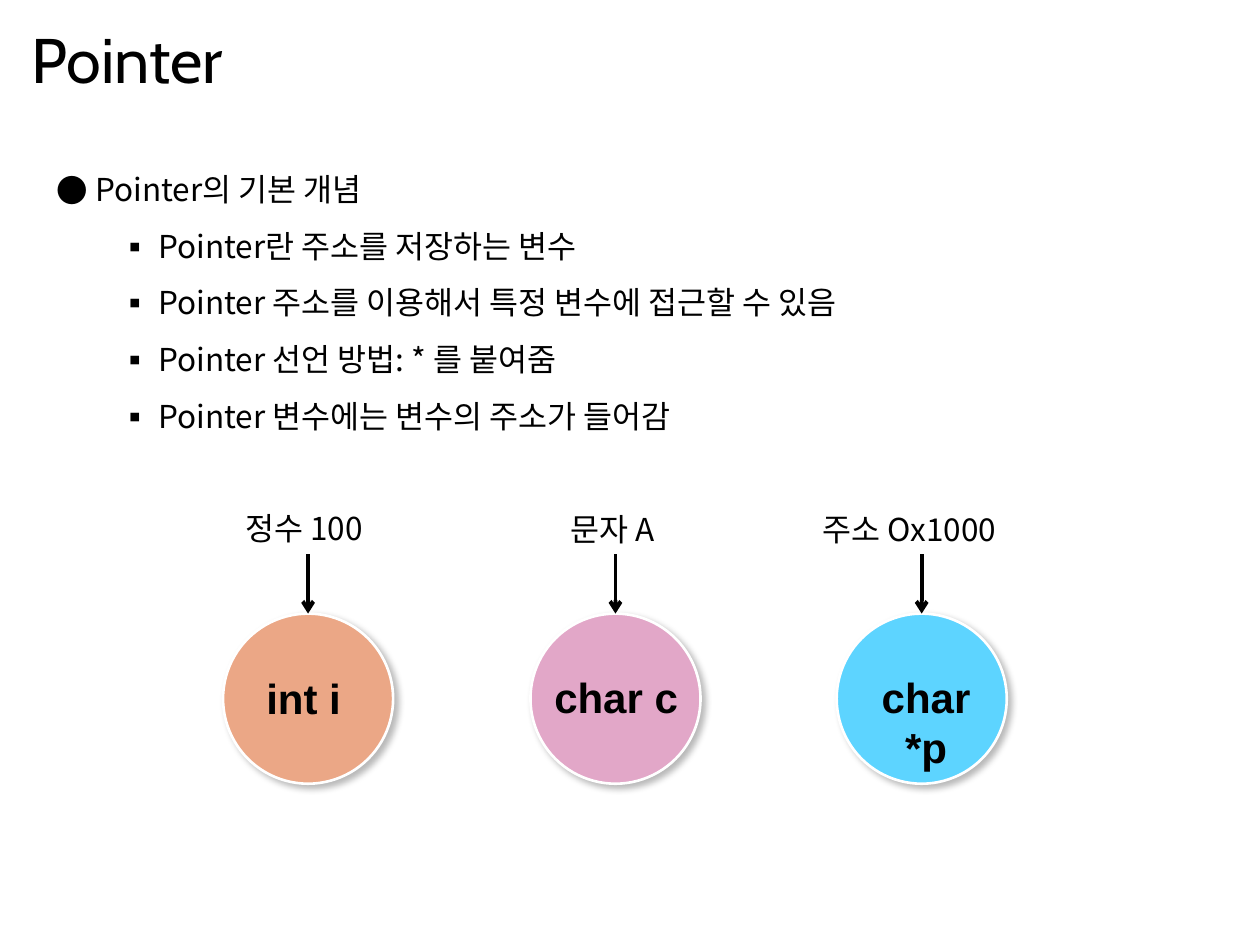
from dataclasses import dataclass

from lxml.etree import SubElement as Sub
from pptx import Presentation
from pptx.dml.color import RGBColor
from pptx.enum.shapes import MSO_CONNECTOR as Conn, MSO_SHAPE as Geo
from pptx.enum.text import MSO_ANCHOR as Anchor, MSO_AUTO_SIZE as Fit, PP_ALIGN as Align
from pptx.oxml.ns import qn
from pptx.util import Inches, Pt

KOREAN = "Noto Sans CJK KR"
BLACK = "000000"
SIZE = 1.35  # circle diameter
TOP = 4.87  # top of the circles


@dataclass
class Style:
    font: str
    size: float
    bold: bool = False


@dataclass
class Box:
    left: float
    top: float
    width: float
    height: float


@dataclass
class Node:
    left: float
    fill: str
    name: str
    mid: float  # centre of the name
    name_top: float
    value: str
    value_box: Box


HEAD = Style("Cabin", 36)
BODY = Style(KOREAN, 18)
NAME = Style("Arial", 24, True)

POINTS = [
    ("Pointer의 기본 개념", 0),
    ("Pointer란 주소를 저장하는 변수", 1),
    ("Pointer 주소를 이용해서 특정 변수에 접근할 수 있음", 1),
    ("Pointer 선언 방법: * 를 붙여줌", 1),
    ("Pointer 변수에는 변수의 주소가 들어감", 1),
]
BULLETS = [("●", 0.31), ("▪", 0.81)]  # mark and indent per level

NODES = [
    Node(1.77, "EBA786", "int i", 2.41, 5.29, "정수 100", Box(1.85, 3.99, 1.44, 0.4)),
    Node(4.21, "E2A7C8", "char c", 4.89, 5.28, "문자 A", Box(4.43, 4, 1.44, 0.4)),
    Node(6.64, "5DD4FF", "char *p", 7.35, 5.28, "주소 Ox1000", Box(6.43, 4, 1.85, 0.4)),
]


def color(code: str) -> RGBColor:
    return RGBColor.from_string(code)


def apply(target, values: dict) -> None:
    for key, value in values.items():
        setattr(target, key, value)


def write(para, text: str, style: Style) -> None:
    run = para.add_run()
    run.text = text
    apply(run.font, {"name": style.font, "size": Pt(style.size), "bold": style.bold})
    run.font.color.rgb = color(BLACK)
    Sub(run.font._element, qn("a:ea"), typeface=style.font)


def add_frame(slide, box: Box, **values):
    shape = slide.shapes.add_textbox(
        Inches(box.left), Inches(box.top), Inches(box.width), Inches(box.height))
    apply(shape.text_frame, {"word_wrap": True, "auto_size": Fit.SHAPE_TO_FIT_TEXT, **values})
    return shape.text_frame


def add_label(slide, box: Box, text: str, style: Style, align=Align.LEFT, **values) -> None:
    para = add_frame(slide, box, **values).paragraphs[0]
    para.alignment = align
    write(para, text, style)


def add_points(slide, box: Box) -> None:
    frame = add_frame(slide, box, word_wrap=False)
    for i, (text, level) in enumerate(POINTS):
        para = frame.add_paragraph() if i else frame.paragraphs[0]
        apply(para, {"level": level, "line_spacing": 1.5})
        mark, indent = BULLETS[level]
        props = para._p.get_or_add_pPr()
        props.set("marL", str(Inches(indent)))
        props.set("indent", str(Inches(-0.31)))
        Sub(props, qn("a:buFont"), typeface=KOREAN)
        Sub(props, qn("a:buChar"), char=mark)
        write(para, text, BODY)


def add_circle(slide, node: Node):
    shape = slide.shapes.add_shape(
        Geo.OVAL, Inches(node.left), Inches(TOP), Inches(SIZE), Inches(SIZE))
    shape.fill.solid()
    shape.fill.fore_color.rgb = color(node.fill)
    shape.line.color.rgb = color("FFFFFF")
    shape.line.width = Pt(1.5)
    # Soft shadow to the lower right
    shape.shadow.inherit = False
    effects = shape._element.spPr.find(qn("a:effectLst"))
    shadow = Sub(effects, qn("a:outerShdw"), blurRad=str(Pt(4)), dist=str(Pt(3)),
                 dir=str(45 * 60000), algn="tl", rotWithShape="0")
    tint = Sub(shadow, qn("a:srgbClr"), val=BLACK)
    Sub(tint, qn("a:alpha"), val="27000")
    return shape


def add_arrow(slide, node: Node, circle) -> None:
    x = Inches(node.left + SIZE / 2)
    line = slide.shapes.add_connector(Conn.STRAIGHT, x, Inches(4.4), x, Inches(TOP))
    line.end_connect(circle, 0)
    line.line.color.rgb = color(BLACK)
    line.line.width = Pt(2.25)
    Sub(line.line._get_or_add_ln(), qn("a:tailEnd"), type="arrow")
    Sub(line._element.spPr, qn("a:effectLst"))


def main() -> None:
    deck = Presentation()
    apply(deck, {"slide_width": Inches(10), "slide_height": Inches(7.5)})
    slide = deck.slides.add_slide(deck.slide_layouts[6])

    # Title and bullet list
    add_label(slide, Box(0.15, 0.12, 9, 0.69), "Pointer", HEAD,
              vertical_anchor=Anchor.MIDDLE, auto_size=Fit.NONE)
    add_points(slide, Box(0.35, 1.15, 7.14, 2.37))

    # Variables with the values they hold
    for node in NODES:
        circle = add_circle(slide, node)
        add_label(slide, Box(node.mid - 0.65, node.name_top, 1.3, 0.5), node.name, NAME,
                  Align.CENTER, word_wrap=False)
        add_label(slide, node.value_box, node.value, BODY)
        add_arrow(slide, node, circle)

    deck.save("out.pptx")


if __name__ == "__main__":
    main()
